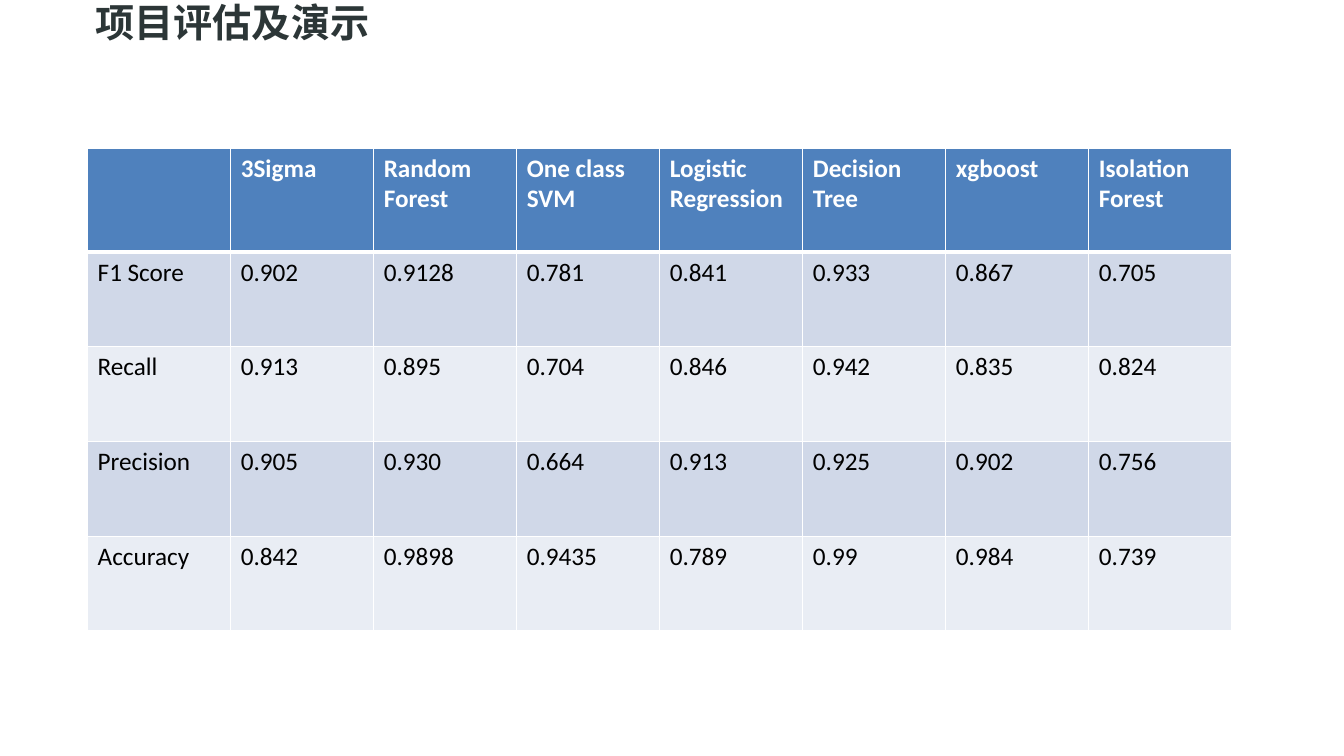
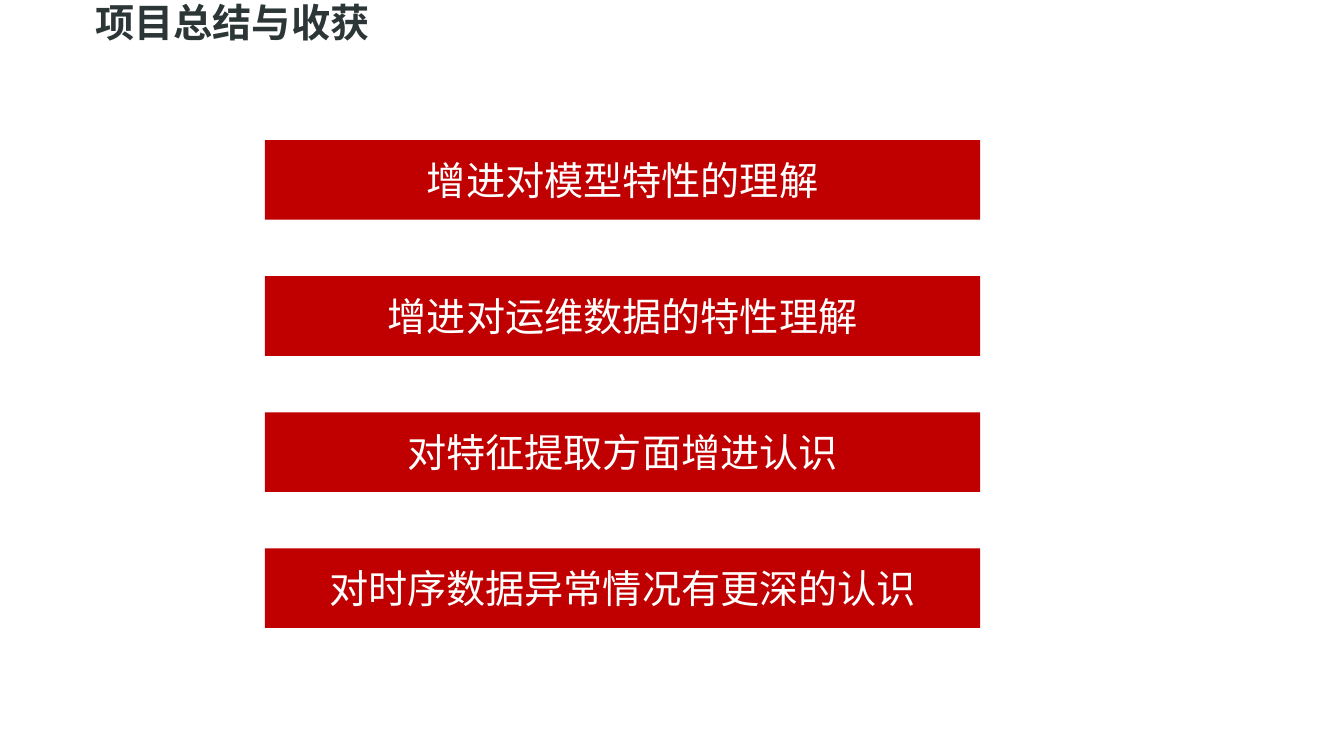
from dataclasses import dataclass

from lxml.etree import SubElement
from pptx import Presentation
from pptx.dml.color import RGBColor
from pptx.enum.shapes import MSO_SHAPE as Shape
from pptx.enum.text import MSO_ANCHOR as Anchor, PP_ALIGN as Align
from pptx.oxml.ns import qn
from pptx.util import Pt

PX = 9144


@dataclass(frozen=True)
class Theme:
    title: str = "2C3637"
    bar: str = "C00000"
    header: str = "4F81BD"
    bands: tuple = ("D0D8E8", "E9EDF4")
    light: str = "FFFFFF"
    dark: str = "000000"
    latin: str = "Calibri"
    cjk: str = "Noto Sans CJK SC"
    large: int = 28
    body: int = 18
    thin: int = 1
    thick: int = 3


class Deck:
    def __init__(self, theme, width, height):
        self.theme = theme
        self.prs = Presentation()
        self.prs.slide_width, self.prs.slide_height = width * PX, height * PX
        self.s = None

    def box(self, *lengths):
        return [length * PX for length in lengths]

    def slide(self, title):
        self.s = self.prs.slides.add_slide(self.prs.slide_layouts[6])
        tf = self.s.shapes.add_textbox(*self.box(85, -2, 433, 57)).text_frame
        for name, value in {"word_wrap": True, "margin_top": 0, "margin_bottom": 0}.items():
            setattr(tf, name, value)
        t = self.theme
        self.label(tf, title, t.title, t.large, bold=True, font=t.cjk)

    def label(self, tf, text, color, size, bold=False, font=None, align=Align.LEFT):
        p = tf.paragraphs[0]
        p.alignment = align
        r = p.add_run()
        r.text = text
        style = {"name": font or self.theme.latin, "size": Pt(size), "bold": bold}
        for name, value in style.items():
            setattr(r.font, name, value)
        r.font.color.rgb = RGBColor.from_string(color)
        SubElement(r.font._element, qn("a:ea"), typeface=self.theme.cjk)

    def fill(self, target, color):
        target.fill.solid()
        target.fill.fore_color.rgb = RGBColor.from_string(color)

    def bar(self, text, x, y, w, h):
        t = self.theme
        sp = self.s.shapes.add_shape(Shape.RECTANGLE, *self.box(x, y, w, h))
        sp.shadow.inherit = False
        sp.line.fill.background()
        self.fill(sp, t.bar)
        sp.text_frame.word_wrap = True
        sp.text_frame.vertical_anchor = Anchor.MIDDLE
        self.label(sp.text_frame, text, t.light, t.large, align=Align.CENTER)

    def borders(self, cell, top, bottom):
        tc_pr = cell._tc.get_or_add_tcPr()
        widths = {"L": self.theme.thin, "R": self.theme.thin, "T": top, "B": bottom}
        for side, width in widths.items():
            ln = SubElement(tc_pr, qn(f"a:ln{side}"), w=str(Pt(width)))
            SubElement(SubElement(ln, qn("a:solidFill")), qn("a:srgbClr"), val=self.theme.light)

    def table(self, rows, x, y, col_w, row_heights):
        t = self.theme
        size = self.box(x, y, col_w * len(rows[0]), sum(row_heights))
        table = self.s.shapes.add_table(len(rows), len(rows[0]), *size).table
        for column in table.columns:
            column.width = col_w * PX
        for i, (row, height) in enumerate(zip(rows, row_heights)):
            table.rows[i].height = height * PX
            head = i == 0
            top = t.thick if i == 1 else t.thin
            bottom = t.thick if head else t.thin
            for j, text in enumerate(row):
                cell = table.cell(i, j)
                self.borders(cell, top, bottom)
                self.fill(cell, t.header if head else t.bands[(i - 1) % 2])
                if text:
                    self.label(cell.text_frame, text, t.light if head else t.dark, t.body, bold=head)


SCORES = [
    ["", "3Sigma", "Random Forest", "One class SVM", "Logistic Regression",
     "Decision Tree", "xgboost", "Isolation Forest"],
    ["F1 Score", "0.902", "0.9128", "0.781", "0.841", "0.933", "0.867", "0.705"],
    ["Recall", "0.913", "0.895", "0.704", "0.846", "0.942", "0.835", "0.824"],
    ["Precision", "0.905", "0.930", "0.664", "0.913", "0.925", "0.902", "0.756"],
    ["Accuracy", "0.842", "0.9898", "0.9435", "0.789", "0.99", "0.984", "0.739"],
]
LESSONS = [
    "增进对模型特性的理解",
    "增进对运维数据的特性理解",
    "对特征提取方面增进认识",
    "对时序数据异常情况有更深的认识",
]


def main():
    deck = Deck(Theme(), 1334, 750)
    deck.slide("项目评估及演示")
    deck.table(SCORES, 87, 147, 142, [103] + [94] * 4)
    deck.slide("项目总结与收获")
    for i, lesson in enumerate(LESSONS):
        deck.bar(lesson, 263, 139 + 135 * i, 710, 79)
    deck.prs.save("out.pptx")


if __name__ == "__main__":
    main()
